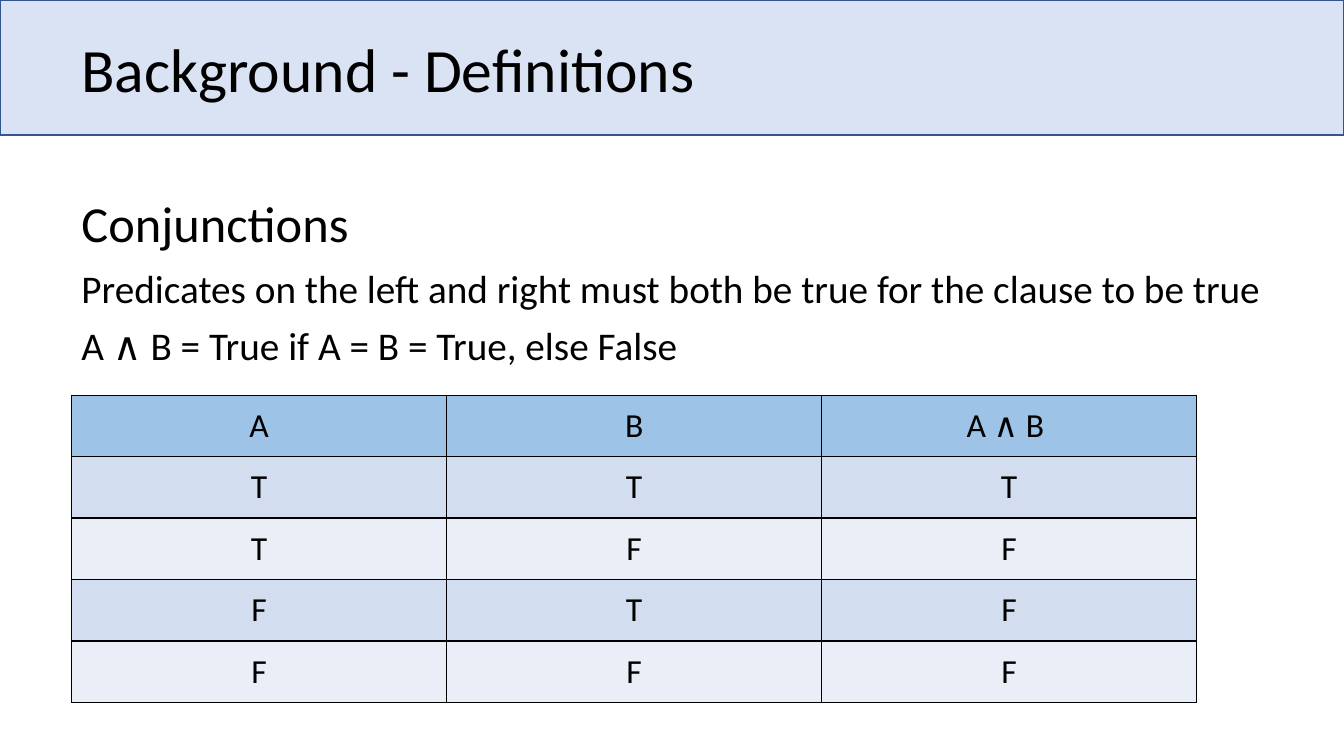
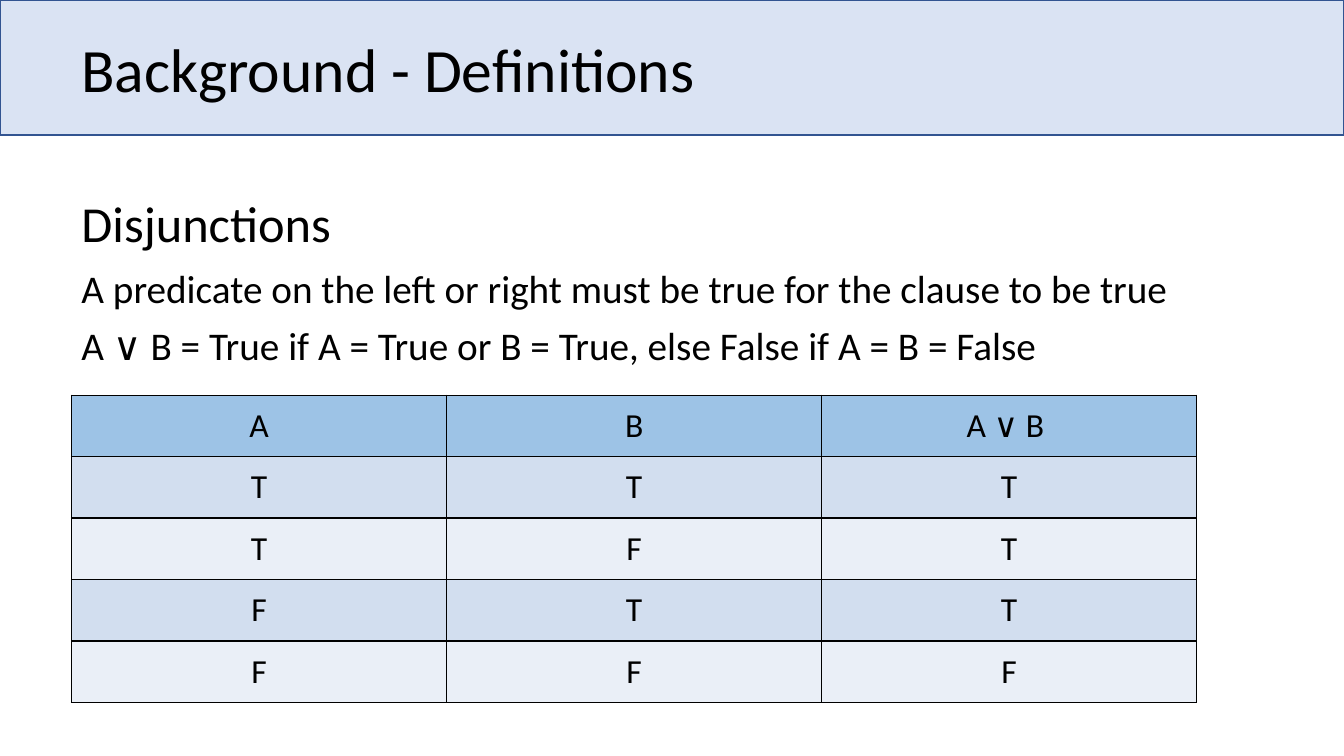
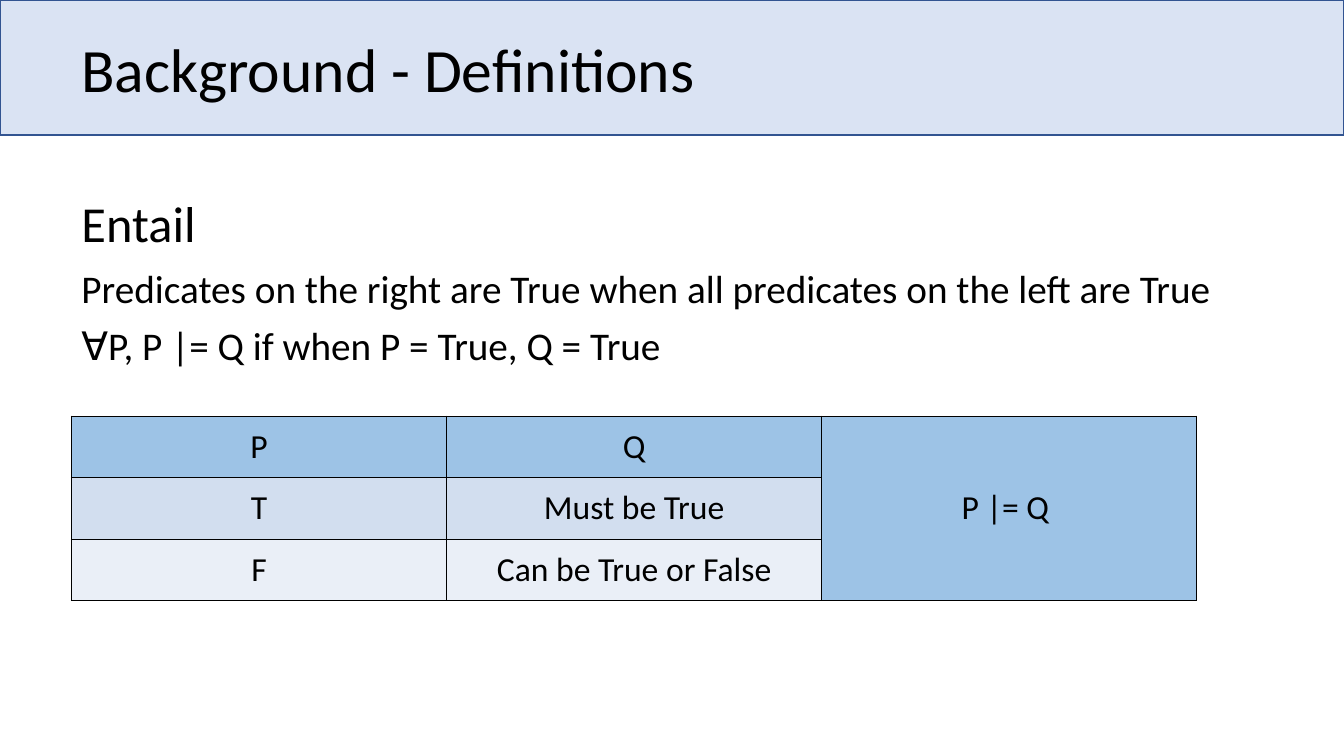
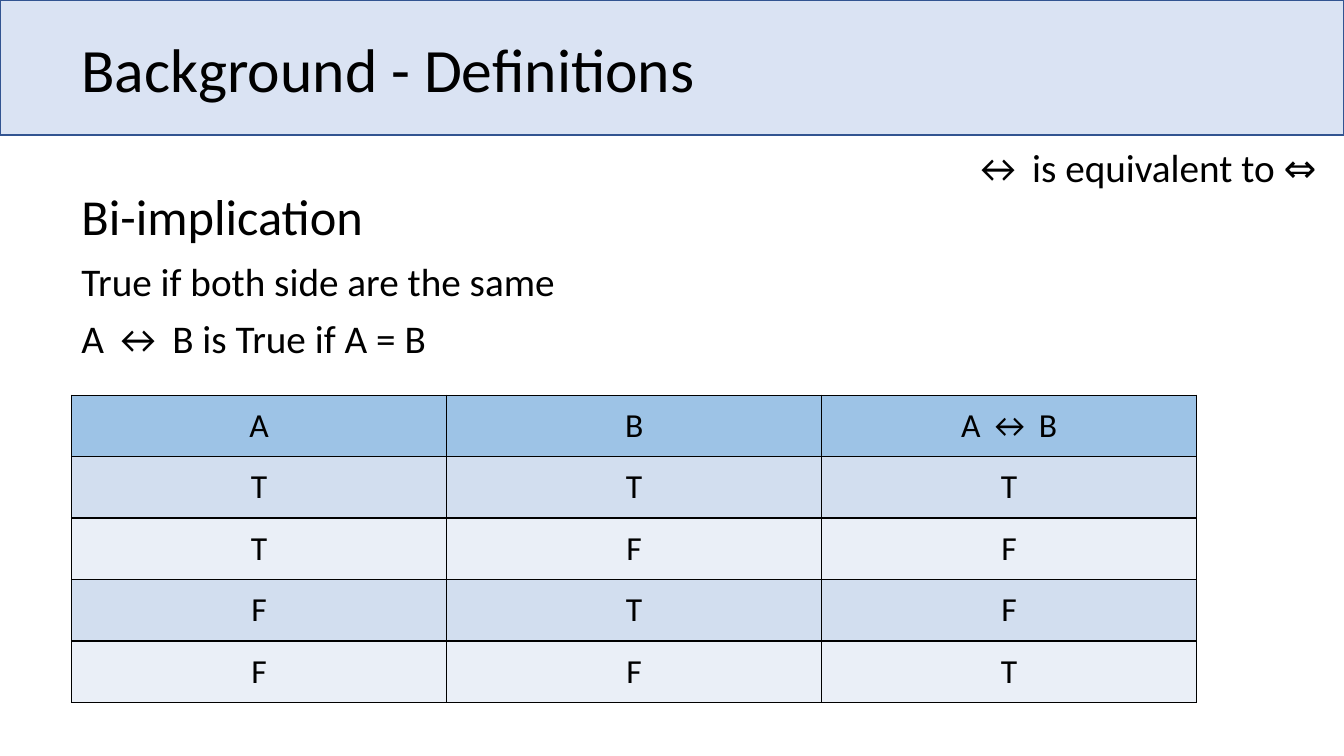
from itertools import product

from lxml import etree
from pptx import Presentation
from pptx.dml.color import RGBColor
from pptx.enum import shapes, text
from pptx.oxml import ns
from pptx.util import Inches, Pt

COLORS = {
    "text": "000000",
    "band": "DAE3F3",
    "band_line": "325491",
    "header": "9DC3E6",
    "odd_row": "D2DEEF",
    "even_row": "EAEFF7",
    "border": "000000",
}


class DefinitionDeck:
    """Holds the shared style and the current page of a deck of definitions."""

    font = "Calibri"
    left = 0.71
    column_width = 3.72
    row_height = 0.61

    def __init__(self):
        self.deck = Presentation()
        self.deck.slide_width = Inches(13.33)
        self.deck.slide_height = Inches(7.5)
        self.page = None

    def color(self, name):
        return RGBColor.from_string(COLORS[name])

    def format_text(self, frame, size):
        for para in frame.paragraphs:
            for span in para.runs:
                span.font.name = self.font
                span.font.size = Pt(size)
                span.font.color.rgb = self.color("text")

    def add_text(self, words, left, top, width, height, size):
        box = self.page.shapes.add_textbox(
            Inches(left), Inches(top), Inches(width), Inches(height))
        frame = box.text_frame
        frame.word_wrap = True
        frame.text = words
        self.format_text(frame, size)
        return frame

    def add_band(self):
        band = self.page.shapes.add_shape(
            shapes.MSO_SHAPE.RECTANGLE, 0, 0, self.deck.slide_width, Inches(1.34))
        band.shadow.inherit = False
        band.fill.solid()
        band.fill.fore_color.rgb = self.color("band")
        band.line.color.rgb = self.color("band_line")
        band.line.width = Pt(1)

    def add_page(self, title):
        self.page = self.deck.slides.add_slide(self.deck.slide_layouts[6])
        self.add_band()
        frame = self.add_text(title, self.left, -0.01, 11.5, 1.45, 44)
        frame.vertical_anchor = text.MSO_ANCHOR.MIDDLE
        frame.paragraphs[0].line_spacing = 0.9

    def add_definition(self, term, meaning, formula, top=1.86):
        for words, offset, height, size in (
                (term, 0, 0.71, 36), (meaning, 0.71, 0.57, 28), (formula, 1.28, 0.57, 28)):
            self.add_text(words, self.left, top + offset, 11.92, height, size)

    def add_borders(self, cell):
        properties = cell._tc.get_or_add_tcPr()
        for side in ("a:lnL", "a:lnR", "a:lnT", "a:lnB"):
            line = etree.SubElement(properties, ns.qn(side), w=str(Pt(1)))
            fill = etree.SubElement(line, ns.qn("a:solidFill"))
            etree.SubElement(fill, ns.qn("a:srgbClr"), val=COLORS["border"])

    def format_cell(self, cell, words, fill):
        self.add_borders(cell)
        cell.fill.solid()
        cell.fill.fore_color.rgb = self.color(fill)
        cell.vertical_anchor = text.MSO_ANCHOR.MIDDLE
        cell.text_frame.text = words
        cell.text_frame.paragraphs[0].alignment = text.PP_ALIGN.CENTER
        self.format_text(cell.text_frame, 24)

    def add_table(self, rows, top=3.92):
        columns = len(rows[0])
        frame = self.page.shapes.add_table(
            len(rows), columns, Inches(self.left), Inches(top),
            Inches(self.column_width * columns), Inches(self.row_height * len(rows)))
        table = frame.table
        for column in table.columns:
            column.width = Inches(self.column_width)
        for number, words_in_row in enumerate(rows):
            table.rows[number].height = Inches(self.row_height)
            fill = "header" if number == 0 else "odd_row" if number % 2 else "even_row"
            for position, words in enumerate(words_in_row):
                self.format_cell(table.cell(number, position), words, fill)
        return table

    def add_truth_table(self, formula, rule):
        rows = [("A", "B", formula)]
        for a, b in product((True, False), repeat=2):
            rows.append(["T" if value else "F" for value in (a, b, rule(a, b))])
        self.add_table(rows)


TITLE = "Background - Definitions"
slides = DefinitionDeck()

slides.add_page(TITLE)
slides.add_definition(
    "Conjunctions",
    "Predicates on the left and right must both be true for the clause to be true",
    "A ∧ B = True if A = B = True, else False")
slides.add_truth_table("A ∧ B ", lambda a, b: a and b)

slides.add_page(TITLE)
slides.add_definition(
    "Disjunctions",
    "A predicate on the left or right must be true for the clause to be true",
    "A ∨ B = True if A = True or B = True, else False if A = B = False")
slides.add_truth_table("A ∨ B ", lambda a, b: a or b)

slides.add_page(TITLE)
slides.add_definition(
    "Entail",
    "Predicates on the right are True when all predicates on the left are True",
    "∀P, P |= Q if when P = True, Q = True")
entailment = slides.add_table([
    ("P", "Q", "P |= Q "),
    ("T", "Must be True", ""),
    ("F", "Can be True or False", ""),
], top=4.13)
entailment.cell(0, 2).merge(entailment.cell(2, 2))

slides.add_page(TITLE)
slides.add_definition(
    "Bi-implication",
    "True if both side are the same",
    "A ↔ B is True if A = B",
    top=1.79)
slides.add_truth_table("A ↔ B", lambda a, b: a == b)
slides.add_text("↔ is equivalent to ⇔", 9.55, 1.37, 3.78, 0.57, 28)

slides.deck.save("out.pptx")
